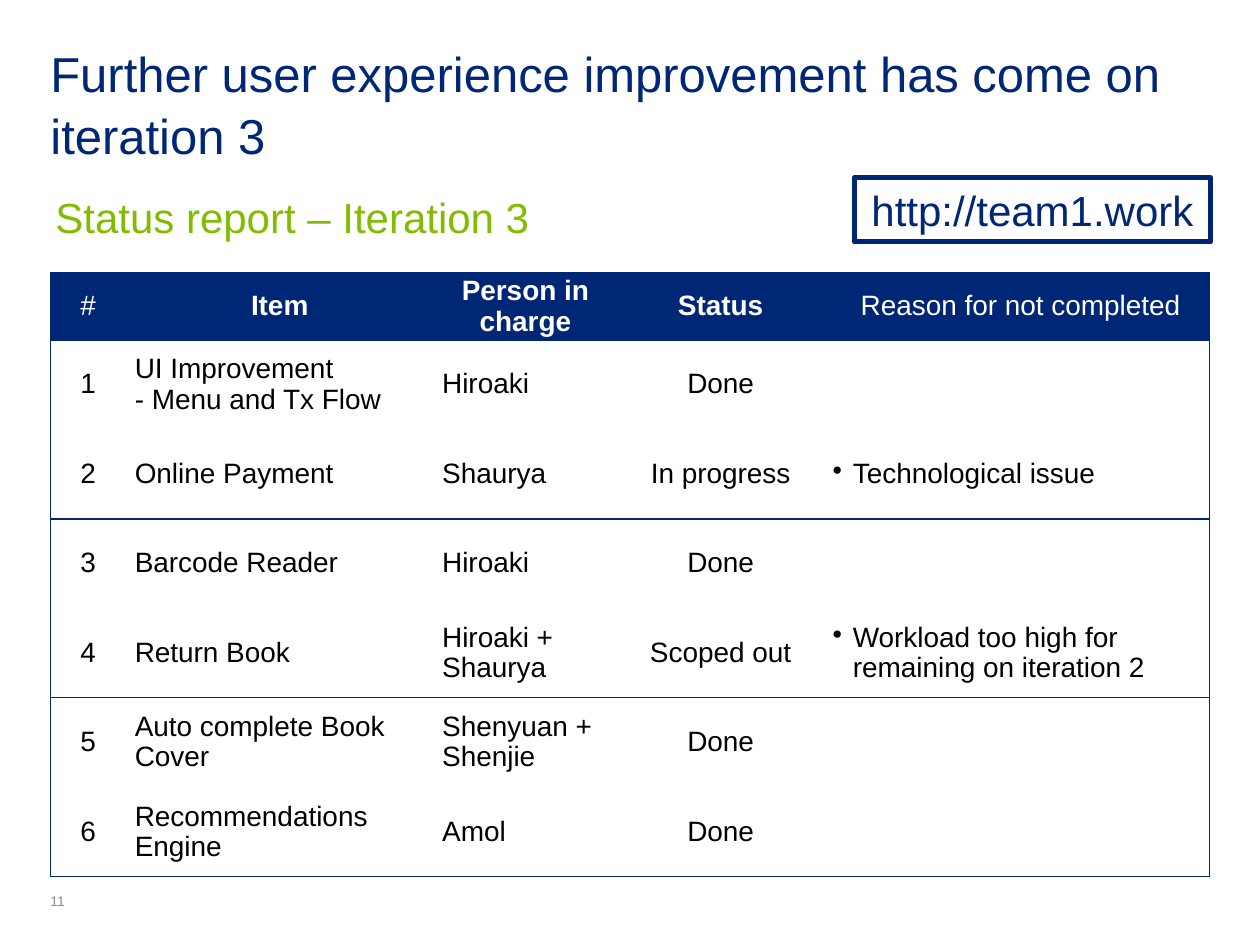
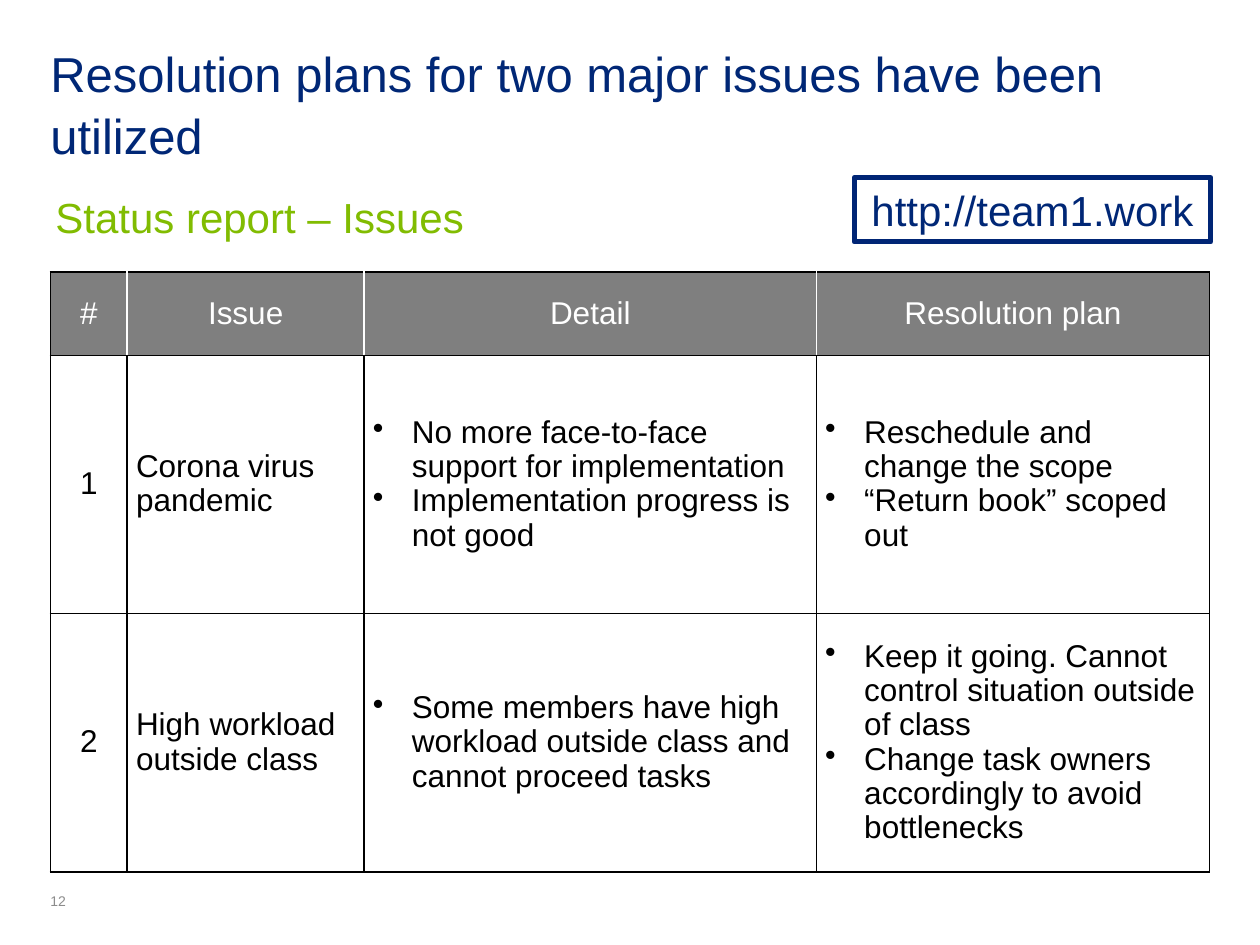
"""Build two status report slides: iteration progress and major issues."""
from lxml import etree
from pptx import Presentation
from pptx.dml.color import RGBColor
from pptx.enum import shapes, text
from pptx.oxml import ns
from pptx.util import Inches, Pt

NAVY = RGBColor(0x00, 0x27, 0x76)
FRAME = RGBColor(0x00, 0x25, 0x75)
GREEN = RGBColor(0x81, 0xBC, 0x01)
NUMBER_GRAY = RGBColor(0x8C, 0x8C, 0x8C)
HEADER_GRAY = RGBColor(0x7F, 0x7F, 0x7F)
BLACK = RGBColor(0, 0, 0)
WHITE = RGBColor(0xFF, 0xFF, 0xFF)
LEFT, WIDTH = Inches(0.4), Inches(9.2)

SLIDES = [
    dict(
        number="11",
        title="Further user experience improvement has come on iteration 3",
        subtitle="Status report – Iteration 3",
        columns=[0.6, 2.44, 1.46, 1.64, 3.06], heights=[0.54] + [0.71] * 6,
        size=16, header=NAVY, line=NAVY, line_width=0.75, ruled_rows=[0, 2, 4, 6],
        inner_header=None, inner_body=None,
        centred=[0, 3], bold_heads=[1, 2, 3], bulleted=[4], indent=0.16,
        rows=[
            ["#", "Item", "Person in charge", "Status", " Reason for not completed"],
            ["1", "UI Improvement\n- Menu and Tx Flow", "Hiroaki", "Done", ""],
            ["2", "Online Payment", "Shaurya", "In progress", "Technological issue"],
            ["3", "Barcode Reader", "Hiroaki", "Done", ""],
            ["4", "Return Book", "Hiroaki + Shaurya", "Scoped out",
             "Workload too high for remaining on iteration 2"],
            ["5", "Auto complete Book Cover", "Shenyuan + Shenjie", "Done", ""],
            ["6", "Recommendations Engine", "Amol", "Done", ""],
        ],
    ),
    dict(
        number="12",
        title="Resolution plans for two major issues have been utilized",
        subtitle="Status report – Issues",
        columns=[0.61, 1.88, 3.59, 3.12], heights=[0.66, 2.05, 2.05],
        size=18, header=HEADER_GRAY, line=BLACK, line_width=1, ruled_rows=[0, 1, 2],
        inner_header=WHITE, inner_body=BLACK,
        centred=[0], bold_heads=[], bulleted=[2, 3], indent=0.31,
        rows=[
            ["#", "Issue", "Detail", "Resolution plan"],
            ["1", "Corona virus\npandemic",
             "No more face-to-face support for implementation\n"
             "Implementation progress is not good",
             "Reschedule and change the scope\n“Return book” scoped out"],
            ["2", "High workload outside class",
             "Some members have high workload outside class and cannot proceed tasks",
             "Keep it going. Cannot control situation outside of class\n"
             "Change task owners accordingly to avoid bottlenecks"],
        ],
    ),
]


def write(sp, content, size, color, anchor, margins=(0, 0, 0, 0), spacing=1.0):
    """Put one formatted line of Arial into a shape and return its paragraph."""
    tf = sp.text_frame
    tf.word_wrap = True
    tf.auto_size = text.MSO_AUTO_SIZE.NONE
    tf.vertical_anchor = anchor
    tf.margin_left, tf.margin_top, tf.margin_right, tf.margin_bottom = map(Inches, margins)
    p = tf.paragraphs[0]
    p.text = content
    p.alignment = text.PP_ALIGN.LEFT
    p.line_spacing = spacing
    p.font.name, p.font.size, p.font.color.rgb = "Arial", Pt(size), color
    return p


def set_borders(cell, colors, width):
    """Draw the left, right, top and bottom borders; None leaves a side open."""
    tcPr = cell._tc.get_or_add_tcPr()
    for i, (side, color) in enumerate(zip("LRTB", colors)):
        ln = etree.Element(ns.qn(f"a:ln{side}"), w=str(Pt(width)))
        if color is None:
            etree.SubElement(ln, ns.qn("a:noFill"))
        else:
            fill = etree.SubElement(ln, ns.qn("a:solidFill"))
            etree.SubElement(fill, ns.qn("a:srgbClr"), val=str(color))
        tcPr.insert(i, ln)


prs = Presentation()
prs.slide_width, prs.slide_height = Inches(10), Inches(7.5)
TOP, MIDDLE, BOTTOM = text.MSO_ANCHOR.TOP, text.MSO_ANCHOR.MIDDLE, text.MSO_ANCHOR.BOTTOM

for page in SLIDES:
    s = prs.slides.add_slide(prs.slide_layouts[5])

    number = s.shapes.add_textbox(LEFT, Inches(7.09), Inches(0.5), Inches(0.13))
    write(number, page["number"], 8, NUMBER_GRAY, BOTTOM)

    title = s.shapes.title
    title.left, title.top, title.width, title.height = LEFT, Inches(0.32), WIDTH, Inches(0.51)
    write(title, page["title"], 28, NAVY, TOP, spacing=1.05)

    subtitle = s.shapes.add_textbox(Inches(0.44), Inches(1.5), Inches(9), Inches(0.35))
    write(subtitle, page["subtitle"], 24, GREEN, TOP, (0, 0, 0.1, 0.05), 1.05)

    address = s.shapes.add_shape(shapes.MSO_SHAPE.RECTANGLE, Inches(6.78), Inches(1.41),
                                 Inches(2.83), Inches(0.51))
    address.shadow.inherit = False
    address.fill.background()
    address.line.color.rgb, address.line.width = FRAME, Pt(3)
    p = write(address, "http://team1.work", 24, NAVY, MIDDLE)
    p.alignment = text.PP_ALIGN.CENTER

    rows, columns = page["rows"], page["columns"]
    table = s.shapes.add_table(len(rows), len(columns), LEFT, Inches(2.16), WIDTH,
                               Inches(sum(page["heights"]))).table
    table.horz_banding = table.first_row = False
    for column, width in zip(table.columns, columns):
        column.width = Inches(width)
    for row, height in zip(table.rows, page["heights"]):
        row.height = Inches(height)

    for r, row in enumerate(rows):
        head = r == 0
        inner = page["inner_header"] if head else page["inner_body"]
        for c, content in enumerate(row):
            cell = table.cell(r, c)
            cell.fill.solid()
            cell.fill.fore_color.rgb = page["header"] if head else WHITE
            cell.vertical_anchor = MIDDLE
            cell.margin_left = cell.margin_right = Inches(0.07)
            cell.margin_top = cell.margin_bottom = 0
            line = page["line"]
            set_borders(cell, (
                line if c == 0 else inner,
                line if c == len(row) - 1 else inner,
                line if head or r - 1 in page["ruled_rows"] else None,
                line if r in page["ruled_rows"] else None,
            ), page["line_width"])

            cell.text_frame.text = content
            for p in cell.text_frame.paragraphs:
                p.font.name, p.font.size = "Arial", Pt(page["size"])
                p.font.color.rgb = WHITE if head else BLACK
                p.font.bold = head and c in page["bold_heads"]
                p.line_spacing = 1.0 if head else 0.97
                if head or c in page["centred"]:
                    p.alignment = text.PP_ALIGN.CENTER
                elif content and c in page["bulleted"]:
                    pPr = p._p.get_or_add_pPr()
                    indent = Inches(page["indent"])
                    pPr.set("marL", str(indent))
                    pPr.set("indent", str(-indent))
                    bullet = etree.Element(ns.qn("a:buChar"), char="•")
                    pPr.find(ns.qn("a:lnSpc")).addnext(bullet)

prs.save("out.pptx")
